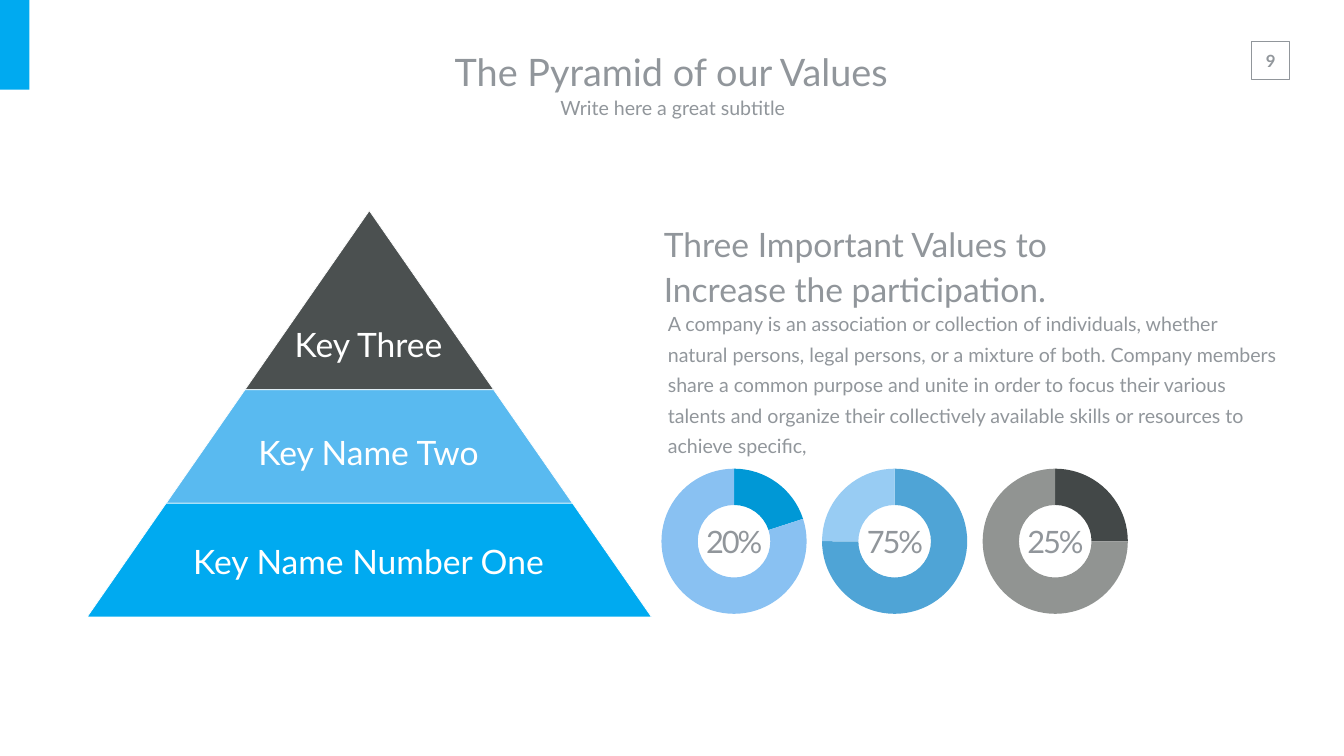
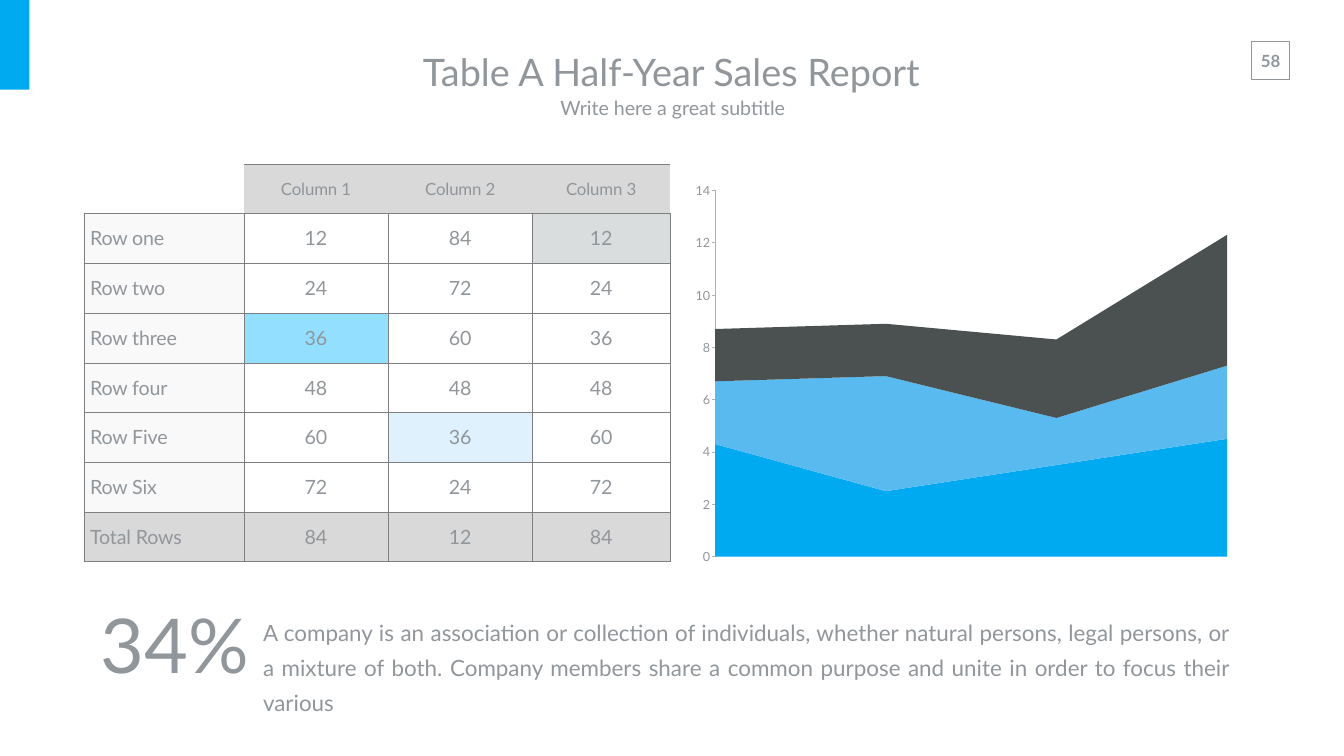
import pptx
import pptx.util
import pptx.chart.data
import pptx.dml.color
import pptx.enum.chart
import pptx.enum.shapes
import pptx.enum.text
import pptx.oxml
import pptx.oxml.ns

RGB = pptx.dml.color.RGBColor
GREY = RGB(0x91, 0x96, 0x9B)
BLUE = RGB(0x00, 0xAA, 0xF0)
SKY = RGB(0x59, 0xBA, 0xF0)
DARK = RGB(0x4B, 0x50, 0x50)
WHITE = RGB(0xFF, 0xFF, 0xFF)
HEAD = RGB(0xD9, 0xD9, 0xD9)
PALE = RGB(0xF9, 0xF9, 0xF9)
AXIS = RGB(0xB3, 0xB3, 0xB3)
MARKS = {
    (1, 3): RGB(0xDA, 0xDD, 0xDD),
    (3, 1): RGB(0x93, 0xDF, 0xFF),
    (5, 2): RGB(0xDE, 0xF1, 0xFC),
}
RINGS = [
    (20, RGB(0x00, 0x98, 0xD6), RGB(0x89, 0xC1, 0xF2)),
    (75, RGB(0x4F, 0xA4, 0xD6), RGB(0x98, 0xCC, 0xF3)),
    (25, RGB(0x43, 0x48, 0x48), RGB(0x91, 0x94, 0x92)),
]
FONT = "Lato"
Pt = pptx.util.Pt
Inch = pptx.util.Inches
ALIGN = pptx.enum.text.PP_ALIGN
MID = pptx.enum.text.MSO_ANCHOR.MIDDLE
FIT = pptx.enum.text.MSO_AUTO_SIZE
KIND = pptx.enum.chart.XL_CHART_TYPE
RECT = pptx.enum.shapes.MSO_SHAPE.RECTANGLE
NS = pptx.oxml.ns.nsdecls

deck = pptx.Presentation()
deck.slide_width = Inch(26.66)
deck.slide_height = Inch(15)
col = deck.slide_width / 100
row = deck.slide_height / 100


def place(*spot):
    return [round(v * unit) for v, unit in zip(spot, (col, row) * 2)]


def write(slide, spot, text, size, align=ALIGN.LEFT, color=GREY, bold=None,
          pad=(0.1, 0.05), space=None, **form):
    box = slide.shapes.add_textbox(*place(*spot))
    frame = box.text_frame
    frame.text = text
    side, edge = map(Inch, pad)
    base = {
        "word_wrap": True, "auto_size": FIT.SHAPE_TO_FIT_TEXT,
        "margin_left": side, "margin_right": side,
        "margin_top": edge, "margin_bottom": edge,
    }
    for key, val in {**base, **form}.items():
        setattr(frame, key, val)
    for para in frame.paragraphs:
        para.alignment = align
        para.line_spacing = space
        font = para.runs[0].font
        font.color.rgb = color
        for key, val in {"name": FONT, "size": Pt(size), "bold": bold}.items():
            setattr(font, key, val)
    return box


wide = {"pad": (0.27, 0.13), "vertical_anchor": MID, "align": ALIGN.CENTER}
pages = []
for number, title, left, width in [
    ("9", "The Pyramid of our Values", 30.57, 38.75),
    ("58", "Table A Half-Year Sales Report", 21.6, 56.71),
]:
    slide = deck.slides.add_slide(deck.slide_layouts[6])
    pages.append(slide)
    write(slide, (93.02, 6, 3.04, 4.07), number, 24, ALIGN.CENTER, bold=True,
          pad=(0.2, 0.1), word_wrap=False)
    frame = slide.shapes.add_shape(RECT, *place(93.14, 5.47, 2.81, 5))
    frame.fill.background()
    frame.line.color.rgb = GREY
    frame.line.width = Pt(1)
    flag = slide.shapes.add_shape(RECT, *place(0, 0, 2.18, 11.87))
    flag.fill.solid()
    flag.fill.fore_color.rgb = BLUE
    flag.line.fill.background()
    for shape in (frame, flag):
        shape.shadow.inherit = False
    write(slide, (left, 5.53, width, 7.87), title, 54, **wide)
    write(slide, (30.68, 11.73, 38.75, 4.93), "Write here a great subtitle", 28, **wide)
values, sales = pages

peak, top, base, half = 27.48, 27.87, 81.6, 20.99
for upper, lower, color in [
    (top, 51.55, DARK), (51.55, 66.57, SKY), (66.57, base, BLUE),
]:
    near, far = [half * (y - top) / (base - top) for y in (upper, lower)]
    start, *rest = [
        place(peak + x, y)
        for x, y in [(-far, lower), (-near, upper), (near, upper), (far, lower)]
    ]
    pen = values.shapes.build_freeform(*start, scale=1.0)
    pen.add_line_segments(rest, close=True)
    tier = pen.convert_to_shape()
    tier.shadow.inherit = False
    tier.fill.solid()
    tier.fill.fore_color.rgb = color
    tier.line.color.rgb = WHITE
    tier.line.width = Pt(1)

for text, y, width in [
    ("Key Name Number One", 70.73, 27.38),
    ("Key Name Two", 56.27, 18.68),
    ("Key Three", 42, 15.45),
]:
    write(values, (27.42 - width / 2, y, width, 6.53), text, 48,
          ALIGN.CENTER, WHITE, space=1.1)

about = ("A company is an association or collection of individuals, whether natural "
         "persons, legal persons, or a mixture of both. Company members share a common "
         "purpose and unite in order to focus their various")
more = (" talents and organize their collectively available skills or resources "
        "to achieve specific,")
write(values, (49.32, 42, 46.17, 16.87), about + more, 28, space=1.3,
      vertical_anchor=MID)
write(values, (49.02, 28.8, 44.07, 12.4),
      "Three Important Values to\nIncrease the participation.", 48, space=1.1)
write(sales, (19.2, 80.47, 72.69, 9.8), about, 32, ALIGN.JUSTIFY, space=1.3)
write(sales, (7.13, 78.8, 13.2, 12.8), "34%", 108)

rows = [["", "Column 1", "Column 2", "Column 3"]]
names = ["Row one", "Row two", "Row three", "Row four", "Row Five", "Row Six", "Total Rows"]
for i, name in enumerate(names):
    up, down = 12 * (i + 1), 12 * (7 - i)
    rows.append([name, up, 36 if name == "Row Five" else down, up])
grid = sales.shapes.add_table(8, 4, *place(6.26, 21.67, 43.59, 52.64))
table = grid.table
for key in ("first_row", "horz_banding"):
    setattr(table, key, False)
grid.element.xpath(".//a:tableStyleId")[0].text = "{2D5ABB26-0587-4C30-8999-92F81FD0307C}"
for part, width in zip(table.columns, (11.89, 10.73, 10.73, 10.24)):
    part.width = round(width * col)
for part in table.rows:
    part.height = round(6.58 * row)

form = {
    "vertical_anchor": MID, "margin_left": Inch(0.12), "margin_right": Inch(0.12),
    "margin_top": Inch(0.07), "margin_bottom": Inch(0.07),
}
for r, line in enumerate(rows):
    for c, text in enumerate(line):
        cell = table.cell(r, c)
        for key, val in form.items():
            setattr(cell, key, val)
        shade = MARKS.get((r, c))
        if r in (0, 7) and (r or c):
            shade = HEAD
        elif r and not c:
            shade = PALE
        if shade:
            cell.fill.solid()
            cell.fill.fore_color.rgb = shade
        else:
            cell.fill.background()
        if text != "":
            cell.text = str(text)
            para = cell.text_frame.paragraphs[0]
            para.alignment = ALIGN.CENTER if c else ALIGN.LEFT
            font = para.runs[0].font
            font.name = FONT
            font.size = Pt(28 if r else 24)
            font.color.rgb = GREY
for run in grid.element.xpath(".//a:rPr"):
    run.set("spc", "-20")
for i, props in enumerate(grid.element.xpath(".//a:tcPr")):
    r, c = divmod(i, 4)
    sides = "LRTB" if r else "TB" if c else "B"
    for j, side in enumerate(sides):
        props.insert(j, pptx.oxml.parse_xml(
            f'<a:ln{side} {NS("a")} w="6350"><a:solidFill><a:srgbClr val="7F7F7F">'
            f'<a:alpha val="50000"/></a:srgbClr></a:solidFill>'
            f'<a:prstDash val="solid"/></a:ln{side}>'))

step = 11.95
plots = [
    (values, KIND.DOUGHNUT, (46.89 + i * step, 60.2, 15.3, 22.8),
     [(share, 100 - share)], tones, (0.152, 0.07, 0.706, 0.86))
    for i, (share, *tones) in enumerate(RINGS)
]
plots.append((
    sales, KIND.AREA_STACKED, (51.73, 21.67, 40.17, 57.67),
    [(4.3, 2.5, 3.5, 4.5), (2.4, 4.4, 1.8, 2.8), (2, 2, 3, 5)],
    (BLUE, SKY, DARK), (0.037, 0.061, 0.948, 0.84)))
for slide, kind, spot, sets, tones, inner in plots:
    data = pptx.chart.data.CategoryChartData()
    data.categories = [str(n + 1) for n in range(len(sets[0]))]
    for n, nums in enumerate(sets, 1):
        data.add_series(f"Series {n}", nums)
    chart = slide.shapes.add_chart(kind, *place(*spot), data).chart
    chart.has_legend = False
    chart.has_title = False
    for key, val in {"name": FONT, "size": Pt(18)}.items():
        setattr(chart.font, key, val)
    chart.font.color.rgb = GREY
    ring = kind == KIND.DOUGHNUT
    plot = chart.plots[0]
    plot.vary_by_categories = ring
    parts = [plot.series[0].points[n] for n in range(2)] if ring else plot.series
    for part, tone in zip(parts, tones):
        part.format.fill.solid()
        part.format.fill.fore_color.rgb = tone
        part.format.line.fill.background()
    area = chart.element.xpath(".//c:plotArea")[0]
    for old in area.xpath("./c:layout"):
        area.remove(old)
    bounds = "".join(f'<c:{key} val="{val}"/>' for key, val in zip("xywh", inner))
    area.insert(0, pptx.oxml.parse_xml(
        f'<c:layout {NS("c")}><c:manualLayout><c:layoutTarget val="inner"/>'
        f'<c:xMode val="edge"/><c:yMode val="edge"/>{bounds}</c:manualLayout></c:layout>'))
    if ring:
        area.xpath(".//c:holeSize")[0].set("val", "84")
    else:
        chart.category_axis.visible = False
        axis = chart.value_axis
        ticks = pptx.enum.chart.XL_TICK_MARK
        for key, val in {
            "has_major_gridlines": False, "major_tick_mark": ticks.OUTSIDE,
            "minor_tick_mark": ticks.NONE, "minimum_scale": 0,
            "maximum_scale": 14, "major_unit": 2,
        }.items():
            setattr(axis, key, val)
        axis.format.line.color.rgb = AXIS

for i, (share, *tones) in enumerate(RINGS):
    label = write(values, (50.66 + i * step, 66.67, 7.95, 9.87), f"{share}%", 44,
                  auto_size=FIT.NONE, **wide)
    label.element.xpath(".//a:rPr")[0].set("spc", "-300")

deck.save("out.pptx")
